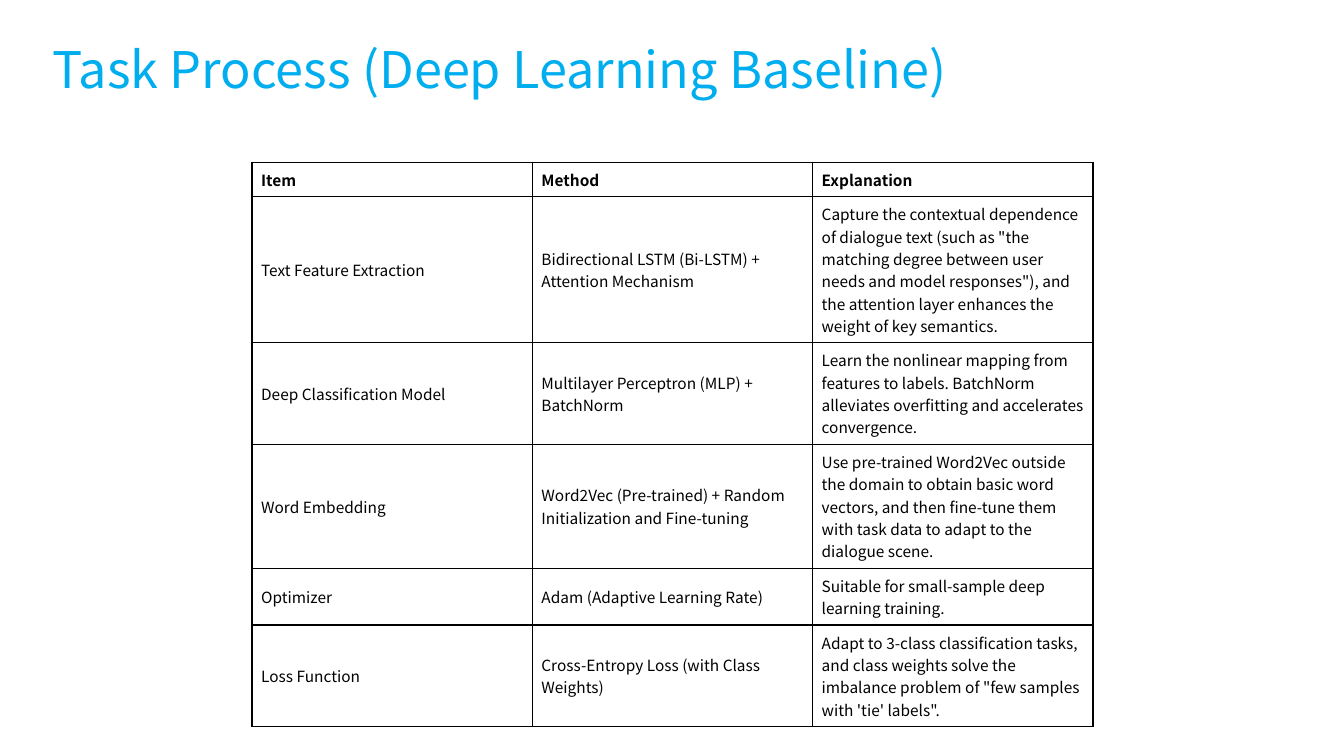
from dataclasses import dataclass

from lxml.etree import SubElement as Sub
from pptx import Presentation
from pptx.dml.color import RGBColor as RGB
from pptx.enum.text import MSO_ANCHOR as Anchor, MSO_AUTO_SIZE as Fit, PP_ALIGN as Align
from pptx.oxml.ns import qn
from pptx.util import Inches, Pt


@dataclass(frozen=True)
class Theme:
    face: str = "Noto Sans CJK SC"
    head: str = "00AEEF"
    ink: str = "000000"
    paper: str = "FFFFFF"
    big: int = 36
    small: int = 11
    rule: int = 1


theme = Theme()


def add_run(para, text, size, color, bold=False):
    run = para.add_run()
    run.text = text
    font = run.font
    font.name, font.size, font.bold = theme.face, Pt(size), bold
    font.color.rgb = RGB.from_string(color)
    Sub(run._r.get_or_add_rPr(), qn("a:ea"), typeface=theme.face)


def add_edges(cell):
    props = cell._tc.get_or_add_tcPr()
    for side in ("lnL", "lnR", "lnT", "lnB"):
        line = Sub(props, qn(f"a:{side}"), w=str(Pt(theme.rule)))
        fill = Sub(line, qn("a:solidFill"))
        Sub(fill, qn("a:srgbClr"), val=theme.ink)


deck = Presentation()
deck.slide_width, deck.slide_height = Inches(13.33), Inches(7.5)
slide = deck.slides.add_slide(deck.slide_layouts[5])
slide.background.fill.solid()
slide.background.fill.fore_color.rgb = RGB.from_string(theme.paper)

# Title
title = slide.shapes.title
title.left, title.top = Inches(-1.71), Inches(0.44)
title.width, title.height = deck.slide_width, Inches(0.56)
frame = title.text_frame
frame.word_wrap, frame.auto_size = True, Fit.NONE
frame.vertical_anchor = Anchor.MIDDLE
frame.margin_left = frame.margin_right = frame.margin_top = frame.margin_bottom = 0
para = frame.paragraphs[0]
para.alignment, para.line_spacing = Align.CENTER, 0.9
add_run(para, "Task Process (Deep Learning Baseline)", theme.big, theme.head)

# Each row: height in text lines, then its three cells
rows = [
    (1, "Item", "Method", "Explanation"),
    (7, "Text Feature Extraction",
     "Bidirectional LSTM (Bi-LSTM) + Attention Mechanism",
     'Capture the contextual dependence of dialogue text (such as "the matching '
     'degree between user needs and model responses"), and the attention layer '
     'enhances the weight of key semantics.'),
    (4, "Deep Classification Model",
     "Multilayer Perceptron (MLP) + BatchNorm",
     "Learn the nonlinear mapping from features to labels. BatchNorm alleviates "
     "overfitting and accelerates convergence."),
    (5, "Word Embedding",
     "Word2Vec (Pre-trained) + Random Initialization and Fine-tuning",
     "Use pre-trained Word2Vec outside the domain to obtain basic word vectors, "
     "and then fine-tune them with task data to adapt to the dialogue scene."),
    (2, "Optimizer",
     "Adam (Adaptive Learning Rate)",
     "Suitable for small-sample deep learning training."),
    (4, "Loss Function",
     "Cross-Entropy Loss (with Class Weights)",
     "Adapt to 3-class classification tasks, and class weights solve the imbalance "
     "problem of \"few samples with 'tie' labels\"."),
]
cols = 3
col_w = Inches(2.78)
pad_x, pad_y = Inches(0.09), Inches(0.06)
pitch = Pt(12.7)
heights = [2 * pad_y + lines * pitch for lines, *_ in rows]

# Table
table = slide.shapes.add_table(
    len(rows), cols, Inches(2.5), Inches(1.61), cols * col_w, sum(heights)).table
table.first_row = table.horz_banding = False
for col in table.columns:
    col.width = col_w
for r, (_, *texts) in enumerate(rows):
    table.rows[r].height = heights[r]
    for c, text in enumerate(texts):
        cell = table.cell(r, c)
        cell.vertical_anchor = Anchor.MIDDLE
        cell.margin_left = cell.margin_right = pad_x
        cell.margin_top = cell.margin_bottom = pad_y
        add_edges(cell)
        cell.fill.background()
        add_run(cell.text_frame.paragraphs[0], text, theme.small, theme.ink, r == 0)

deck.save("out.pptx")
